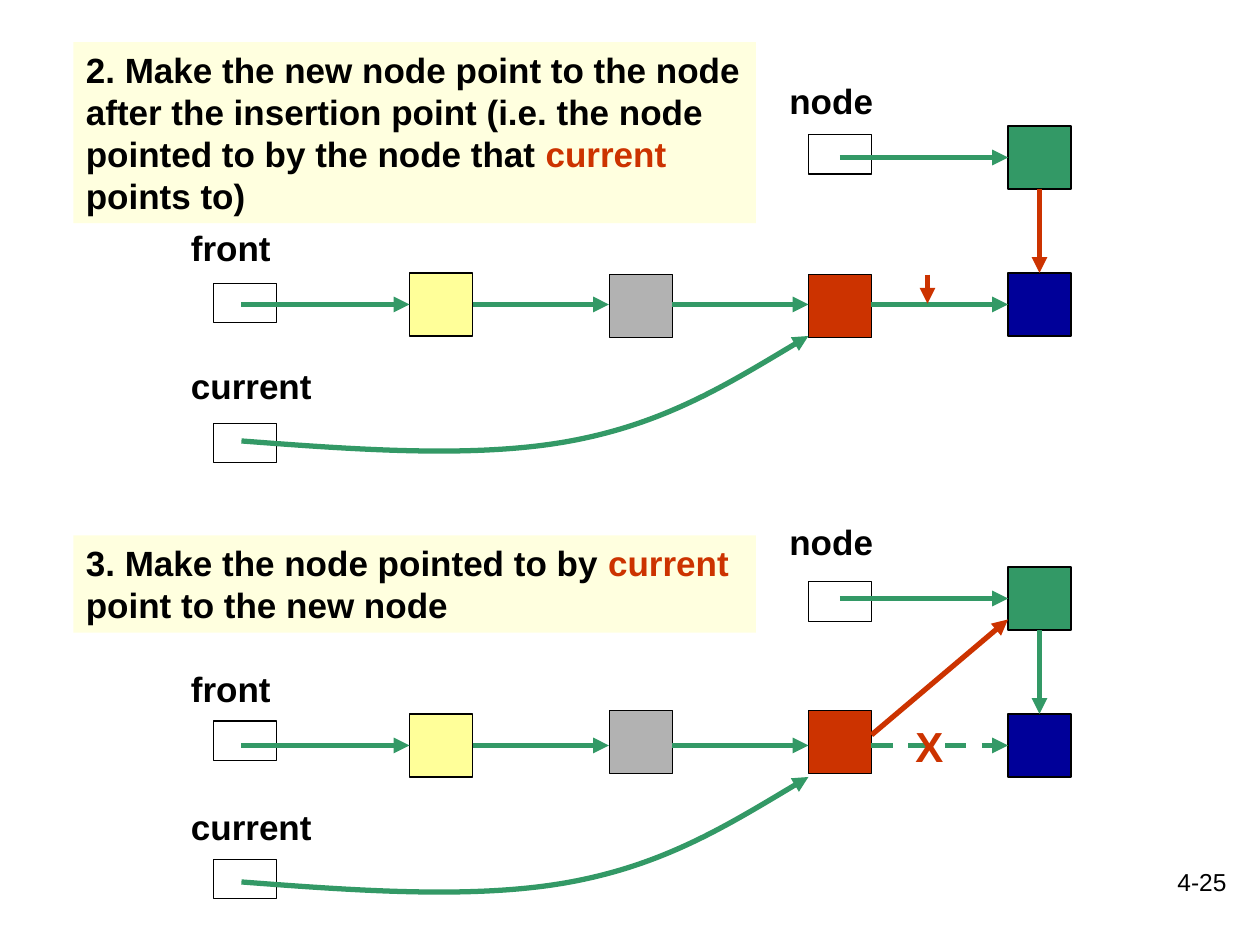
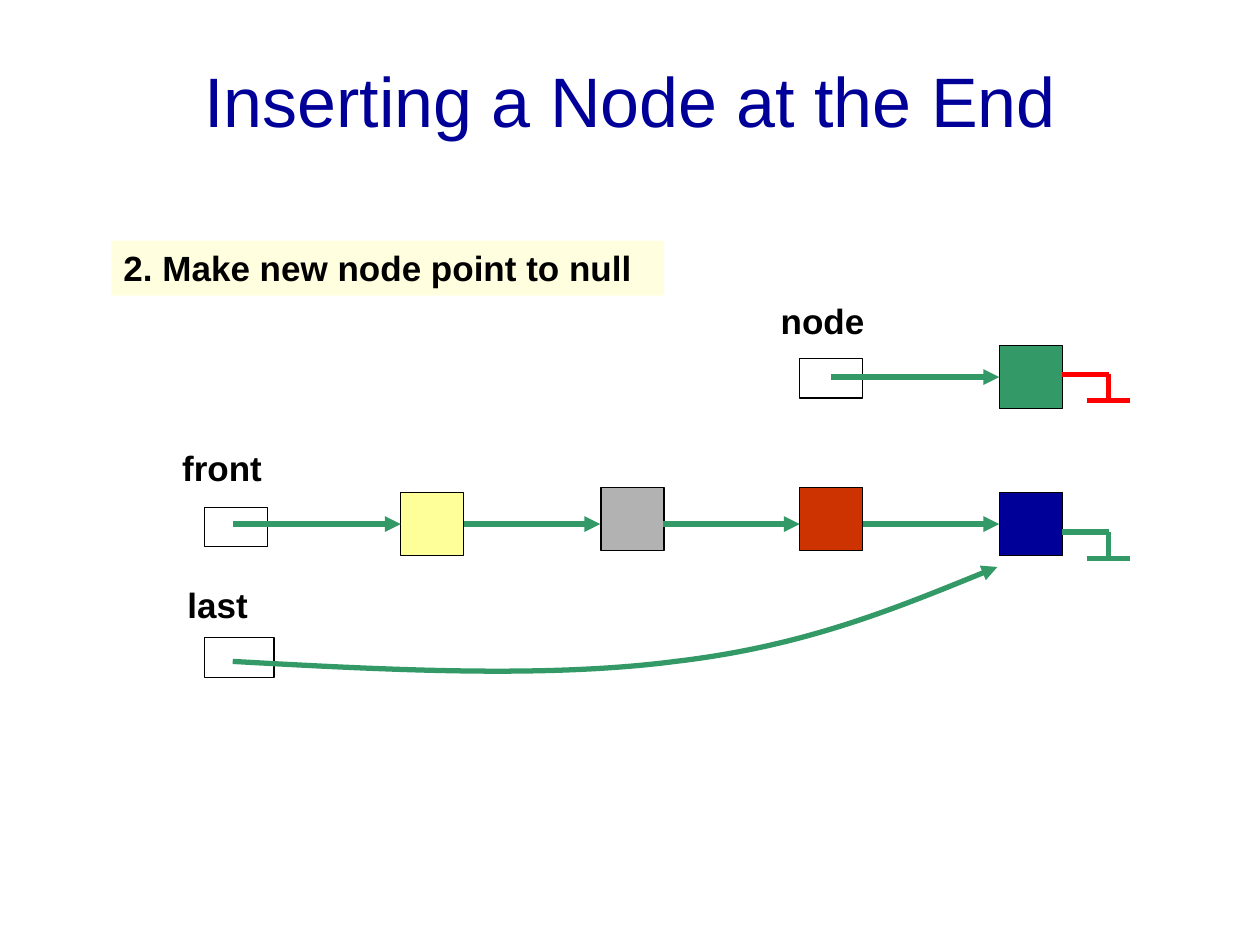
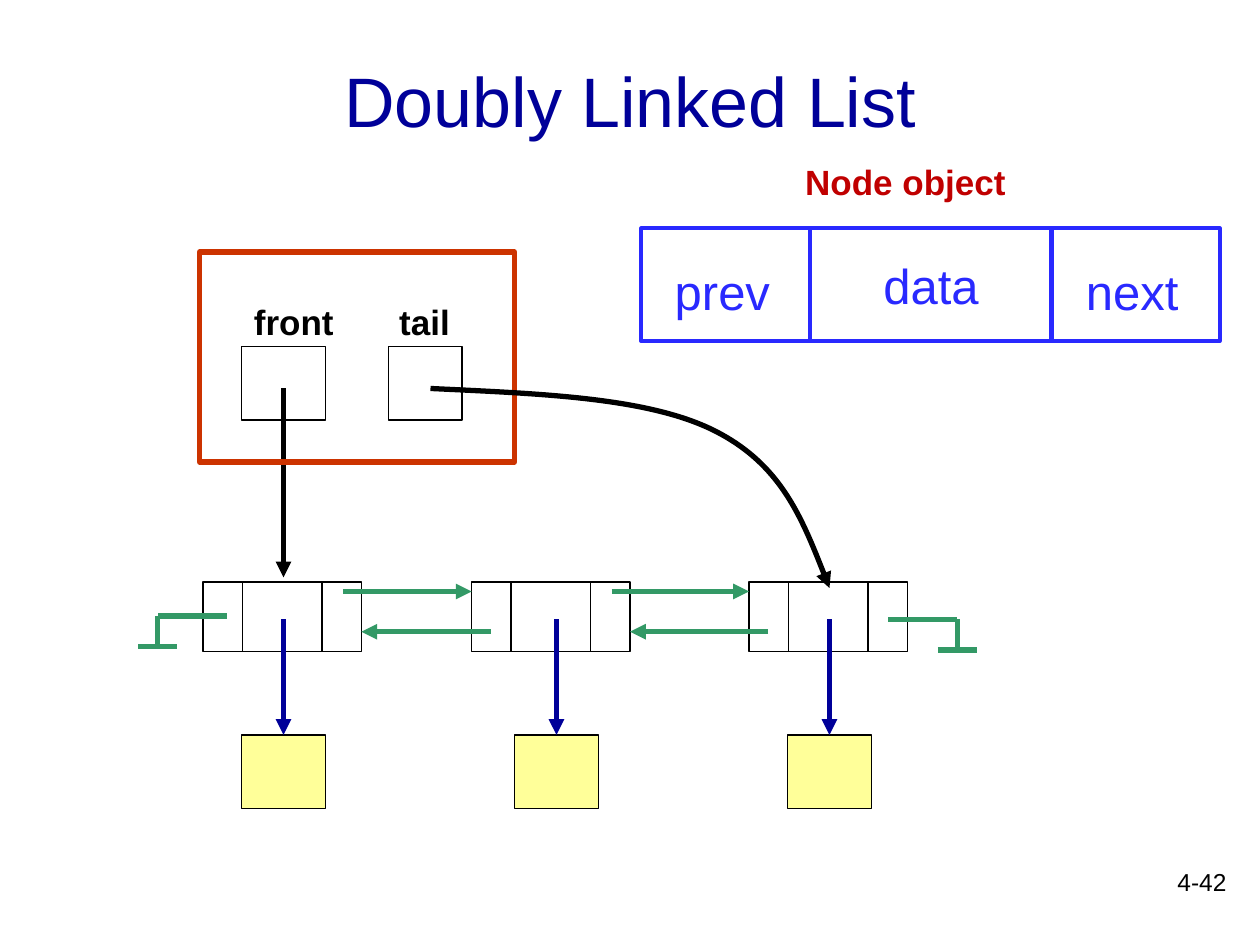
"""Build three slides on inserting nodes in linked lists and on doubly linked lists."""
from itertools import pairwise

from lxml.etree import SubElement
from pptx import Presentation
from pptx.dml.color import RGBColor
from pptx.enum.dml import MSO_LINE
from pptx.enum.shapes import MSO_CONNECTOR, MSO_SHAPE
from pptx.enum.text import MSO_ANCHOR, PP_ALIGN
from pptx.oxml.ns import qn
from pptx.util import Pt

BLACK, NAVY, GREEN, RED = "000000", "000099", "339966", "CC3300"
YELLOW, GRAY, CREAM, BLUE = "FFFF99", "B2B2B2", "FFFFDF", "2929FF"
BRIGHT_RED, DARK_RED = "FF0000", "C00000"
FONT = "Arial"
color = RGBColor.from_string


def box(slide, left, top, width, height, runs=(), fill=None, outline=None,
        weight=0.75, size=20, bold=True, align=PP_ALIGN.LEFT, anchor=MSO_ANCHOR.TOP):
    """Add a rectangle holding runs of (text, colour)."""
    frame = [Pt(length) for length in (left, top, width, height)]
    if fill or outline:
        shape = slide.shapes.add_shape(MSO_SHAPE.RECTANGLE, *frame)
        shape.shadow.inherit = False
    else:
        shape = slide.shapes.add_textbox(*frame)
    if fill:
        shape.fill.solid()
        shape.fill.fore_color.rgb = color(fill)
    else:
        shape.fill.background()
    if outline:
        shape.line.color.rgb = color(outline)
        shape.line.width = Pt(weight)
    else:
        shape.line.fill.background()
    if runs:
        shape.text_frame.word_wrap = True
        shape.text_frame.vertical_anchor = anchor
        paragraph = shape.text_frame.paragraphs[0]
        paragraph.alignment = align
        for text, text_color in runs:
            run = paragraph.add_run()
            run.text = text
            run.font.name, run.font.size, run.font.bold = FONT, Pt(size), bold
            run.font.color.rgb = color(text_color)


def link(slide, points, line_color=GREEN, head=True, dashed=False):
    """Join two points by a line, or more points by cubic curves."""
    start, *rest = [(Pt(x), Pt(y)) for x, y in points]
    if len(rest) == 1:
        shape = slide.shapes.add_connector(MSO_CONNECTOR.STRAIGHT, *start, *rest[0])
    else:
        builder = slide.shapes.build_freeform(*start)
        builder.add_line_segments(rest, close=False)
        shape = builder.convert_to_shape()
        shape.fill.background()
        outline_path = next(shape.element.iter(qn("a:path")))
        segments = outline_path.findall(qn("a:lnTo"))
        for first in range(0, len(segments), 3):
            curve = SubElement(outline_path, qn("a:cubicBezTo"))
            for segment in segments[first:first + 3]:
                curve.append(segment[0])
                outline_path.remove(segment)
    shape.line.color.rgb = color(line_color)
    shape.line.width = Pt(3)
    if dashed:
        shape.line.dash_style = MSO_LINE.DASH
    properties = shape.element.spPr
    if head:
        SubElement(properties.find(qn("a:ln")), qn("a:tailEnd"), type="triangle")
    SubElement(properties, qn("a:effectLst"))


deck = Presentation()
deck.slide_width, deck.slide_height = Pt(720), Pt(540)
TITLE_ONLY, BLANK = deck.slide_layouts[5], deck.slide_layouts[6]
middle = deck.slides.add_slide(BLANK)
end = deck.slides.add_slide(TITLE_ONLY)
doubly = deck.slides.add_slide(TITLE_ONLY)

for slide, heading in ((end, "Inserting a Node at the End"), (doubly, "Doubly Linked List")):
    title = slide.shapes.title
    title.left, title.top, title.width, title.height = Pt(54), Pt(12), Pt(612), Pt(90)
    title.text_frame.vertical_anchor = MSO_ANCHOR.MIDDLE
    paragraph = title.text_frame.paragraphs[0]
    paragraph.alignment = PP_ALIGN.CENTER
    run = paragraph.add_run()
    run.text = heading
    run.font.name, run.font.size = FONT, Pt(40)
    run.font.color.rgb = color(NAVY)

for slide, number in ((middle, "4-25"), (doubly, "4-42")):
    box(slide, 558, 492, 150, 36, [(number, BLACK)], size=14, bold=False, align=PP_ALIGN.RIGHT)

# Offsets run from the left edge of each chain and from its row of links.
to_red = [(138, 78), (204, 83), (272, 88), (326, 78), (380, 68), (420, 43), (462, 18)]
to_blue = [(138, 78.5), (228, 83.5), (318, 88), (391, 78.5), (463.5, 70), (520, 47), (575, 24.5)]
chains = (
    (middle, 0, 174, -97, -12, 68, -17, "current", 102, 36, to_red, False),
    (middle, 0, 426, -93.5, -14, 65, -20, "current", 102, 36, to_red, True),
    (end, -5, 299.5, -94.5, -9.5, 65, -21, "last", 105, 39.6, to_blue, False),
)
for (slide, left, row, node_top, front_top, last_top, inner_top,
     last_name, last_left, last_width, last_curve, cut) in chains:
    pointers = (
        ("node", 444, -132, 462, node_top, 36),
        ("front", 102, -48, 122, front_top, 36),
        (last_name, last_left, 30.5, 122, last_top, last_width),
    )
    for name, name_left, name_top, pointer_left, pointer_top, width in pointers:
        box(slide, left + name_left, row + name_top, 96, 31.5, [(name, BLACK)])
        box(slide, left + pointer_left, row + pointer_top, width, 22.5, outline=BLACK)
    nodes = ((576, -102, GREEN), (234, -18, YELLOW), (348.5, inner_top, GRAY),
             (462, inner_top, RED), (576, -18, NAVY))
    for node_left, top, fill in nodes:
        box(slide, left + node_left, row + top, 36, 36, fill=fill, outline=BLACK)
    for start, stop in ((138, 234), (270, 348), (384, 462), (498, 576)):
        link(slide, [(left + start, row), (left + stop, row)], dashed=cut and start == 498)
    link(slide, [(left + 480, row - 84), (left + 576, row - 84)])
    link(slide, [(left + x, row + y) for x, y in last_curve])

captions = (
    (middle, 42, 24, 390, 103.5,
     [("2. Make the new node point to the node after the insertion point "
       "(i.e. the node pointed to by the node that ", BLACK),
      ("current", RED), (" points to)", BLACK)]),
    (middle, 42, 306, 390, 55.5,
     [("3. Make the node pointed to by ", BLACK), ("current", RED),
      (" point to the new node", BLACK)]),
    (end, 63.5, 137.5, 316, 31.5, [("2. Make new node point to null", BLACK)]),
)
for slide, left, top, width, height, runs in captions:
    box(slide, left, top, width, height, runs, fill=CREAM)

link(middle, [(594, 108), (594, 156)], RED)
link(middle, [(530, 157), (530, 173.5)], RED)
link(middle, [(594, 360), (594, 408)])
link(middle, [(498, 420), (576, 354)], RED)
box(middle, 516, 408, 36, 36, [("X", RED)], size=24)

for name, name_left, pointer_left, width in (("front", 138, 138, 48), ("tail", 221, 222, 42)):
    box(doubly, name_left, 168, 84, 31.5, [(name, BLACK)])
    box(doubly, pointer_left, 198, width, 42, outline=BLACK)
link(doubly, [(162, 222), (162, 330)], BLACK)
box(doubly, 114, 144, 180, 120, outline=RED, weight=3)

node_lefts = (116, 269.5, 428)
for index, node_left in enumerate(node_lefts):
    for offset, width in ((0, 22.5), (22.5, 45.5), (68, 22.5)):
        box(doubly, node_left + offset, 332.5, width, 40, outline=BLACK)
    center = 162 + 156 * index
    box(doubly, center - 24, 420, 48, 42, fill=YELLOW, outline=BLACK)
    link(doubly, [(center, 354), (center, 420)], NAVY)
for node_left, next_left in pairwise(node_lefts):
    link(doubly, [(node_left + 80, 338), (next_left, 338)])
    link(doubly, [(next_left + 11, 361), (node_left + 90.5, 361)])
link(doubly, [(246, 222), (308, 225), (370, 227), (408, 246), (446, 265), (460, 300), (474, 336)],
     BLACK)

grounds = (
    (end, 607, 633.5, 214, 15, 12.5, BRIGHT_RED),
    (end, 607, 633.5, 304, 15, 12.5, GREEN),
    (doubly, 507.5, 547, 354, 17.5, 11, GREEN),
    (doubly, 129.5, 90, 352, 17.5, 11, GREEN),
)
for slide, inner, stem, top, drop, half_bar, line_color in grounds:
    bottom = top + drop
    link(slide, [(inner, top), (stem, top)], line_color, head=False)
    link(slide, [(stem, top), (stem, bottom)], line_color, head=False)
    link(slide, [(stem - half_bar, bottom), (stem + half_bar, bottom)], line_color, head=False)

box(doubly, 453, 88, 140, 31.5, [("Node object", DARK_RED)])
for left, width in ((366.5, 96.5), (463, 138), (600.5, 96.5)):
    box(doubly, left, 130.5, width, 64.5, outline=BLUE, weight=2.25)
for field, left, top, width, align in (("prev", 378.5, 146, 71.5, PP_ALIGN.LEFT),
                                       ("data", 463, 142.5, 138, PP_ALIGN.CENTER),
                                       ("next", 613.5, 146, 71.5, PP_ALIGN.LEFT)):
    box(doubly, left, top, width, 41, [(field, BLUE)], size=28, bold=False, align=align)

deck.save("out.pptx")
